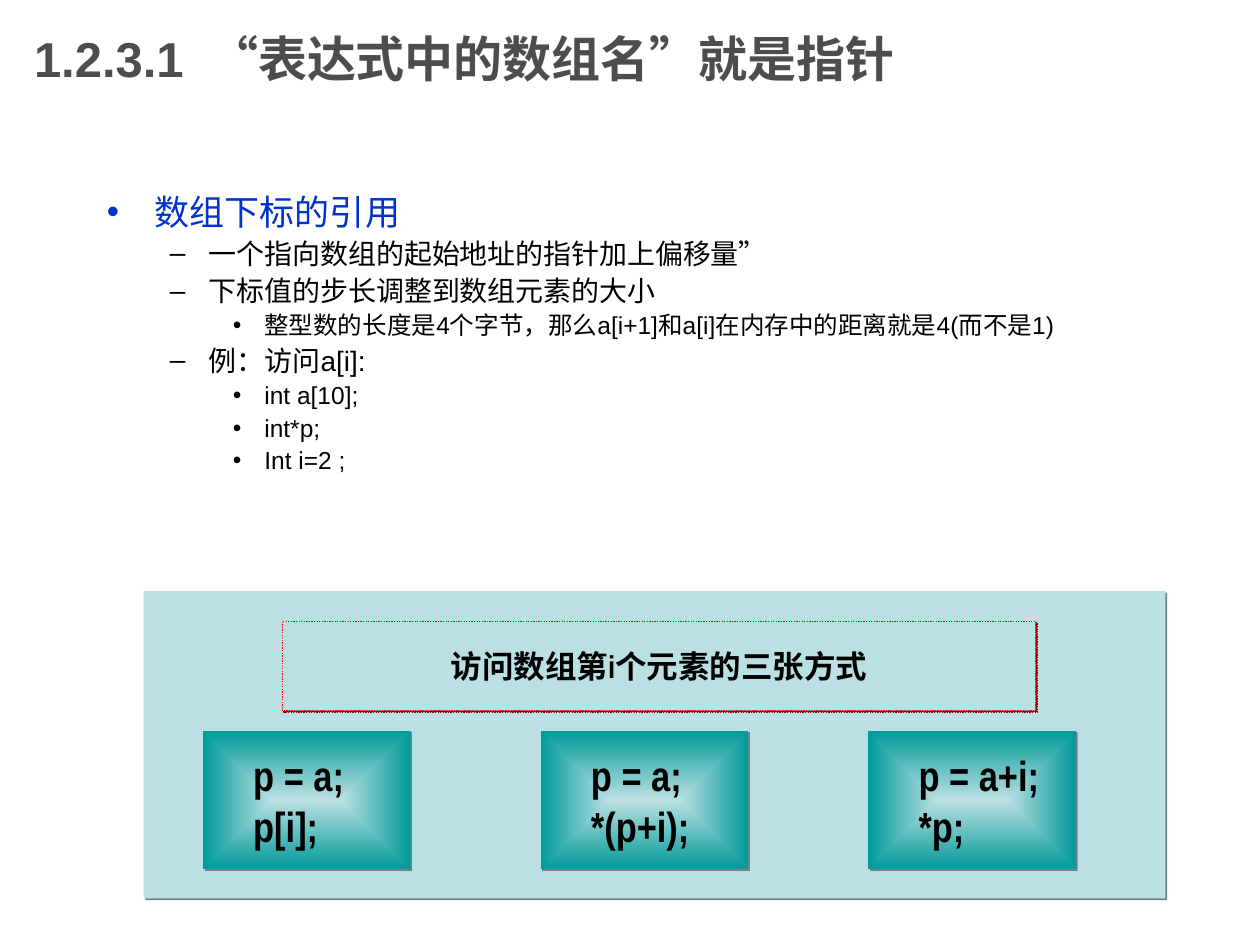
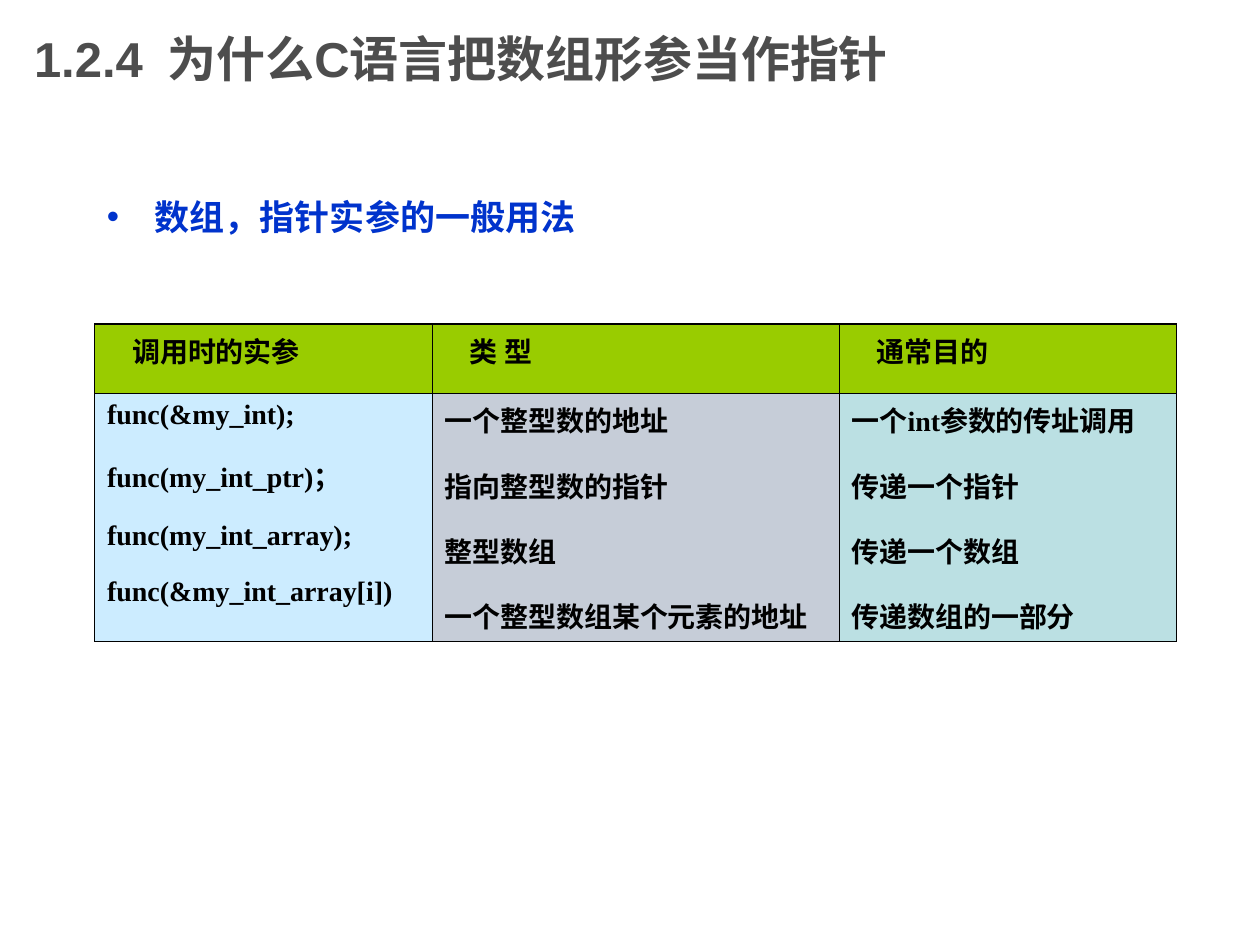
from lxml.etree import SubElement
from pptx import Presentation
from pptx.dml.color import RGBColor
from pptx.enum.dml import MSO_LINE as Dash
from pptx.enum.shapes import MSO_SHAPE as Shape
from pptx.enum.text import MSO_ANCHOR as Anchor, PP_ALIGN as Align
from pptx.oxml.ns import qn
from pptx.util import Inches, Pt

BLACK, GREY, BLUE, RED = "000000", "4D4D4D", "0033CC", "FF0000"
PALE, TEAL, SHADE, DARK = "BBE0E3", "009999", "6F8587", "980000"
HEAD, COLS = "99CC00", ("CCECFF", "C6CDD8", PALE)
LEVELS = [
    (0.38, 0.38, 20, 5, "•", BLUE),
    (0.81, 0.31, 16, 4, "–", BLACK),
    (1.25, 0.25, 14, 3.5, "•", BLACK),
]
POINTS = [
    (0, "数组下标的引用"),
    (1, "一个指向数组的起始地址的指针加上偏移量”"),
    (1, "下标值的步长调整到数组元素的大小"),
    (2, "整型数的长度是4个字节，那么a[i+1]和a[i]在内存中的距离就是4(而不是1)"),
    (1, "例：访问a[i]:"),
    (2, "int a[10];"),
    (2, "int*p;"),
    (2, "Int i=2 ;"),
]
CODES = [
    (0.47, ["p = a;", "p[i];"]),
    (3.15, ["p = a;", "*(p+i);"]),
    (5.75, ["p = a+i;", "*p;"]),
]
CALLS = [
    ("调用时的实参", ["func(&my_int);", "func(my_int_ptr)；",
                "func(my_int_array);", "func(&my_int_array[i])"]),
    ("类 型", ["一个整型数的地址", "指向整型数的指针",
             "整型数组", "一个整型数组某个元素的地址"]),
    ("通常目的", ["一个int参数的传址调用", "传递一个指针",
              "传递一个数组", "传递数组的一部分"]),
]


def rgb(code):
    """Turn a hex string into a colour."""
    return RGBColor.from_string(code)


def node(parent, tag, **attrs):
    """Append a drawing element with the given attributes."""
    return SubElement(parent, qn("a:" + tag), {k: str(v) for k, v in attrs.items()})


def style(para, size, color=BLACK, name="Arial", bold=False):
    """Set the font of a paragraph."""
    font = para.font
    font.name, font.size, font.bold = name, Pt(size), bold
    font.color.rgb = rgb(color)


def fill_text(frame, lines):
    """Write one paragraph per line and return the paragraphs."""
    frame.text = "\n".join(lines)
    return frame.paragraphs


def add_title(deck, number, text, tab):
    """Add a title-only slide whose title text starts at a tab stop."""
    slide = deck.slides.add_slide(deck.slide_layouts[5])
    title = slide.shapes.title
    title.left, title.top = Inches(0.17), Inches(0)
    title.width, title.height = Inches(7.5), Inches(0.92)
    frame = title.text_frame
    frame.vertical_anchor = Anchor.MIDDLE
    para = frame.paragraphs[0]
    para.text = f"{number}\t{text}"
    para.alignment = Align.LEFT
    stops = node(para._p.get_or_add_pPr(), "tabLst")
    node(stops, "tab", pos=Inches(tab), algn="l")
    style(para, 28, GREY, bold=True)
    return slide


def add_list(slide, box, points, spacing, bold=False):
    """Add a bulleted list of (level, text) points."""
    frame = slide.shapes.add_textbox(*map(Inches, box)).text_frame
    frame.word_wrap = True
    paras = fill_text(frame, [text for _, text in points])
    for para, (level, _) in zip(paras, points):
        left, hang, size, before, mark, color = LEVELS[level]
        para.level = level
        para.line_spacing, para.space_before = spacing, Pt(before)
        props = para._p.get_or_add_pPr()
        props.set("marL", str(Inches(left)))
        props.set("indent", str(-Inches(hang)))
        node(node(props, "buClr"), "srgbClr", val=color)
        node(props, "buFont", typeface="Arial")
        node(props, "buChar", char=mark)
        style(para, size, color, bold=bold)


def add_block(slide, box, shade=SHADE):
    """Add a pale rectangle with a thin hard shadow."""
    block = slide.shapes.add_shape(Shape.RECTANGLE, *map(Inches, box))
    block.fill.solid()
    block.fill.fore_color.rgb = rgb(PALE)
    block.line.fill.background()
    block.shadow.inherit = False
    effects = block._element.spPr.find(qn("a:effectLst"))
    cast = node(effects, "outerShdw", dist=Pt(1.4), dir=45 * 60000, algn="ctr", rotWithShape=0)
    node(cast, "srgbClr", val=shade)
    block.text_frame.vertical_anchor = Anchor.MIDDLE
    return block


def add_code(slide, box, lines):
    """Add a block with a radial gradient and lines of code."""
    block = add_block(slide, box)
    block.fill.gradient()
    for stop, color in zip(block.fill.gradient_stops, (PALE, TEAL)):
        stop.color.rgb = rgb(color)
    grad = block._element.spPr.find(qn("a:gradFill"))
    grad.remove(grad.find(qn("a:lin")))
    sides = dict.fromkeys("ltrb", 50000)
    node(node(grad, "path", path="rect"), "fillToRect", **sides)
    block.text_frame.margin_left = Inches(0.4)
    for para in fill_text(block.text_frame, lines):
        para.alignment = Align.LEFT
        style(para, 24, name="Arial Narrow", bold=True)


def add_panel(slide, box):
    """Add the panel with its caption and three code blocks."""
    left, top, _, _ = box
    add_block(slide, box)
    for shift, lines in CODES:
        add_code(slide, (left + shift, top + 1.11, 1.65, 1.1), lines)
    label = add_block(slide, (left + 1.1, top + 0.24, 5.98, 0.71), DARK)
    label.line.color.rgb = rgb(RED)
    label.line.width = Pt(0.75)
    label.line.dash_style = Dash.ROUND_DOT
    para = fill_text(label.text_frame, ["访问数组第i个元素的三张方式"])[0]
    para.alignment = Align.CENTER
    style(para, 18, name="Arial Narrow", bold=True)


def set_cell(cell, lines, color, edges):
    """Fill a cell with text, borders and colour."""
    for para in fill_text(cell.text_frame, lines):
        style(para, 16, name="Times New Roman", bold=True)
    for para in cell.text_frame.paragraphs[1:]:
        para.space_before = Pt(14.3)
    props = cell._tc.get_or_add_tcPr()
    for side, width in zip("LRTB", edges):
        line = node(props, "ln" + side, w=Pt(width))
        node(node(line, "solidFill"), "srgbClr", val=BLACK)
    cell.fill.solid()
    cell.fill.fore_color.rgb = rgb(color)


def add_calls(slide, box):
    """Add the table of call arguments."""
    table = slide.shapes.add_table(2, 3, *map(Inches, box)).table
    table.first_row = table.horz_banding = False
    for row, height in zip(table.rows, (0.55, 1.97)):
        row.height = Inches(height)
    for i, (head, lines) in enumerate(CALLS):
        table.columns[i].width = Inches((2.68, 3.23, 2.68)[i])
        top, body = table.cell(0, i), table.cell(1, i)
        set_cell(top, [head], HEAD, (0.5, 0.5, 1, 0.5))
        set_cell(body, lines, COLS[i], (0.5, 0.5, 0.5, 1))
        top.margin_left = Inches(0.3)


def main():
    """Build and save the deck."""
    deck = Presentation()
    deck.slide_width, deck.slide_height = Inches(10), Inches(7.5)
    slide = add_title(deck, "1.2.3.1", "“表达式中的数组名”就是指针", 1.39)
    add_list(slide, (0.75, 1.5, 8.03, 3.43), POINTS, 0.9)
    add_panel(slide, (1.14, 4.69, 8.11, 2.44))
    slide = add_title(deck, "1.2.4", "为什么C语言把数组形参当作指针", 1.06)
    add_list(slide, (0.75, 1.5, 4.17, 0.52), [(0, "数组，指针实参的一般用法")], 1.0, True)
    add_calls(slide, (0.75, 2.57, 8.58, 2.52))
    deck.save("out.pptx")


if __name__ == "__main__":
    main()
